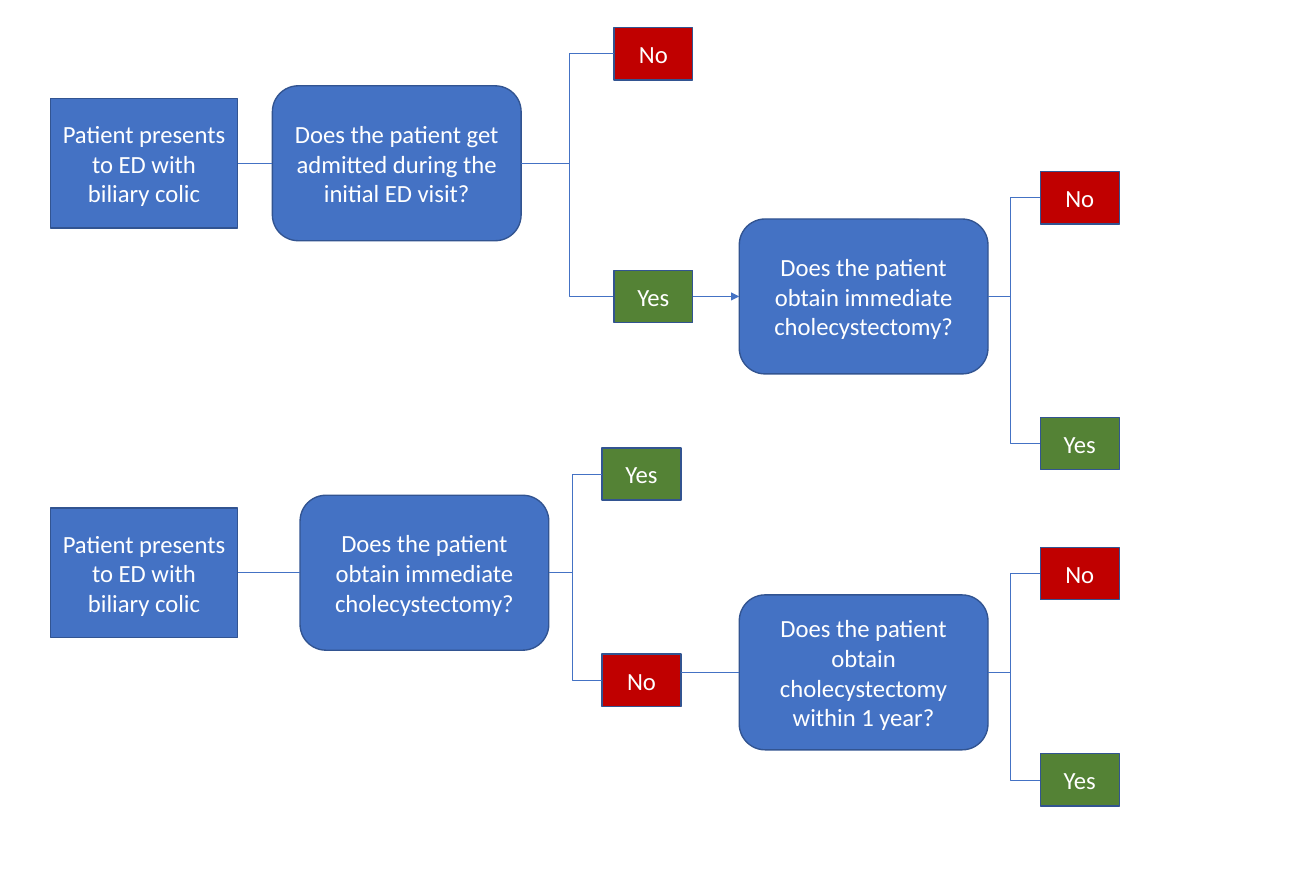
from dataclasses import dataclass

from pptx import Presentation
from pptx.dml.color import RGBColor
from pptx.enum import shapes, text
from pptx.oxml import ns
from pptx.util import Inches, Pt
from lxml import etree


@dataclass(frozen=True)
class Theme:
    """Colours, type and line weights of the decision trees."""
    step: str = "4472C4"
    no: str = "C00000"
    yes: str = "548235"
    outline: str = "325491"
    label: str = "FFFFFF"
    font: str = "Calibri"
    label_size: float = 18
    outline_width: float = 1
    branch_width: float = 0.5


@dataclass(frozen=True)
class Box:
    """A rectangle in inches."""
    left: float
    top: float
    width: float
    height: float

    def inner(self, left, top, size):
        """Return a box of the given size placed relative to this one."""
        return Box(self.left + left, self.top + top, *size)


THEME = Theme()
PATIENT_SIZE = (1.9, 1.31)
QUESTION_SIZE = (2.52, 1.57)
ANSWER_SIZE = (0.8, 0.53)
TOP, LEFT, BOTTOM, RIGHT = range(4)
PATIENT = "Patient presents to ED with biliary colic"
IMMEDIATE = "Does the patient obtain immediate cholecystectomy?"


def write(shape, words, *, size=THEME.label_size, color=THEME.label, font=THEME.font):
    """Write centred, formatted words into a shape."""
    frame = shape.text_frame
    frame.word_wrap = True
    frame.vertical_anchor = text.MSO_ANCHOR.MIDDLE
    paragraph = frame.paragraphs[0]
    paragraph.alignment = text.PP_ALIGN.CENTER
    run = paragraph.add_run()
    run.text = words
    run.font.size = Pt(size)
    run.font.name = font
    run.font.color.rgb = RGBColor.from_string(color)


def node(slide, box, words, fill=THEME.step, kind=shapes.MSO_SHAPE.RECTANGLE):
    """Draw one labelled step of a tree."""
    shape = slide.shapes.add_shape(
        kind, Inches(box.left), Inches(box.top), Inches(box.width), Inches(box.height))
    shape.shadow.inherit = False
    shape.fill.solid()
    shape.fill.fore_color.rgb = RGBColor.from_string(fill)
    shape.line.color.rgb = RGBColor.from_string(THEME.outline)
    shape.line.width = Pt(THEME.outline_width)
    write(shape, words)
    return shape


def question(slide, box, words):
    """Draw a rounded decision step."""
    return node(slide, box, words, kind=shapes.MSO_SHAPE.ROUNDED_RECTANGLE)


def answer(slide, box, words):
    """Draw a Yes or No outcome in its own colour."""
    return node(slide, box, words, fill=THEME.yes if words == "Yes" else THEME.no)


def link(slide, start, end, trunk=None, arrow=False, level=False):
    """Join two steps, bending at the trunk, or level with the end step's middle."""
    kind = shapes.MSO_CONNECTOR.STRAIGHT if trunk is None else shapes.MSO_CONNECTOR.ELBOW
    start_x = start.left + start.width
    middle = end.top + end.height // 2
    line = slide.shapes.add_connector(kind, start_x, middle, end.left, middle)
    if not level:
        line.begin_connect(start, RIGHT)
    line.end_connect(end, LEFT)
    line.line.color.rgb = RGBColor.from_string(THEME.step)
    line.line.width = Pt(THEME.branch_width)
    properties = line._element.spPr
    if trunk is not None:
        bend = round((Inches(trunk) - start_x) / (end.left - start_x) * 100000)
        guides = properties.find(ns.qn("a:prstGeom")).get_or_add_avLst()
        etree.SubElement(guides, ns.qn("a:gd"), name="adj1", fmla=f"val {bend}")
    if arrow:
        outline = properties.find(ns.qn("a:ln"))
        etree.SubElement(outline, ns.qn("a:tailEnd"), type="triangle")
    etree.SubElement(properties, ns.qn("a:effectLst"))


def outcomes(slide, asked, box, answers, trunk):
    """Draw the answers of a question at the given tops and branch to them."""
    drawn = []
    for words, top in answers:
        outcome = answer(slide, box.inner(0, top, ANSWER_SIZE), words)
        link(slide, asked, outcome, trunk=box.left + trunk)
        drawn.append(outcome)
    return drawn


def admission_tree(slide, box):
    """Draw the tree that starts with admission during the ED visit."""
    patient = node(slide, box.inner(0, 0.72, PATIENT_SIZE), PATIENT)
    admitted = question(slide, box.inner(2.25, 0.59, QUESTION_SIZE),
                        "Does the patient get admitted during the initial ED visit?")
    immediate = question(slide, box.inner(6.98, 1.94, QUESTION_SIZE), IMMEDIATE)
    link(slide, patient, admitted)
    link(slide, admitted, immediate, trunk=box.left + 5.26, arrow=True)
    outcomes(slide, admitted, box.inner(5.71, 0, ANSWER_SIZE), [("No", 0)], -0.45)
    answer(slide, box.inner(5.71, 2.46, ANSWER_SIZE), "Yes")
    outcomes(slide, immediate, box.inner(10.03, 1.46, ANSWER_SIZE),
             [("No", 0), ("Yes", 2.49)], -0.3)


def surgery_tree(slide, box):
    """Draw the tree that starts with immediate cholecystectomy."""
    patient = node(slide, box.inner(0, 0.61, PATIENT_SIZE), PATIENT)
    immediate = question(slide, box.inner(2.53, 0.48, QUESTION_SIZE), IMMEDIATE)
    within_year = question(slide, box.inner(6.98, 1.49, QUESTION_SIZE),
                           "Does the patient obtain cholecystectomy within 1 year?")
    link(slide, patient, immediate)
    _, declined = outcomes(slide, immediate, box.inner(5.59, 0, ANSWER_SIZE),
                           [("Yes", 0), ("No", 2.09)], -0.3)
    link(slide, declined, within_year, level=True)
    outcomes(slide, within_year, box.inner(10.03, 1.01, ANSWER_SIZE),
             [("No", 0), ("Yes", 2.09)], -0.3)


def main():
    """Build the slide with both decision trees."""
    deck = Presentation()
    deck.slide_width, deck.slide_height = Inches(40 / 3), Inches(9)
    slide = deck.slides.add_slide(deck.slide_layouts[6])
    admission_tree(slide, Box(0.51, 0.28, 10.83, 4.48))
    surgery_tree(slide, Box(0.51, 4.54, 10.83, 3.63))
    deck.save("out.pptx")


if __name__ == "__main__":
    main()
